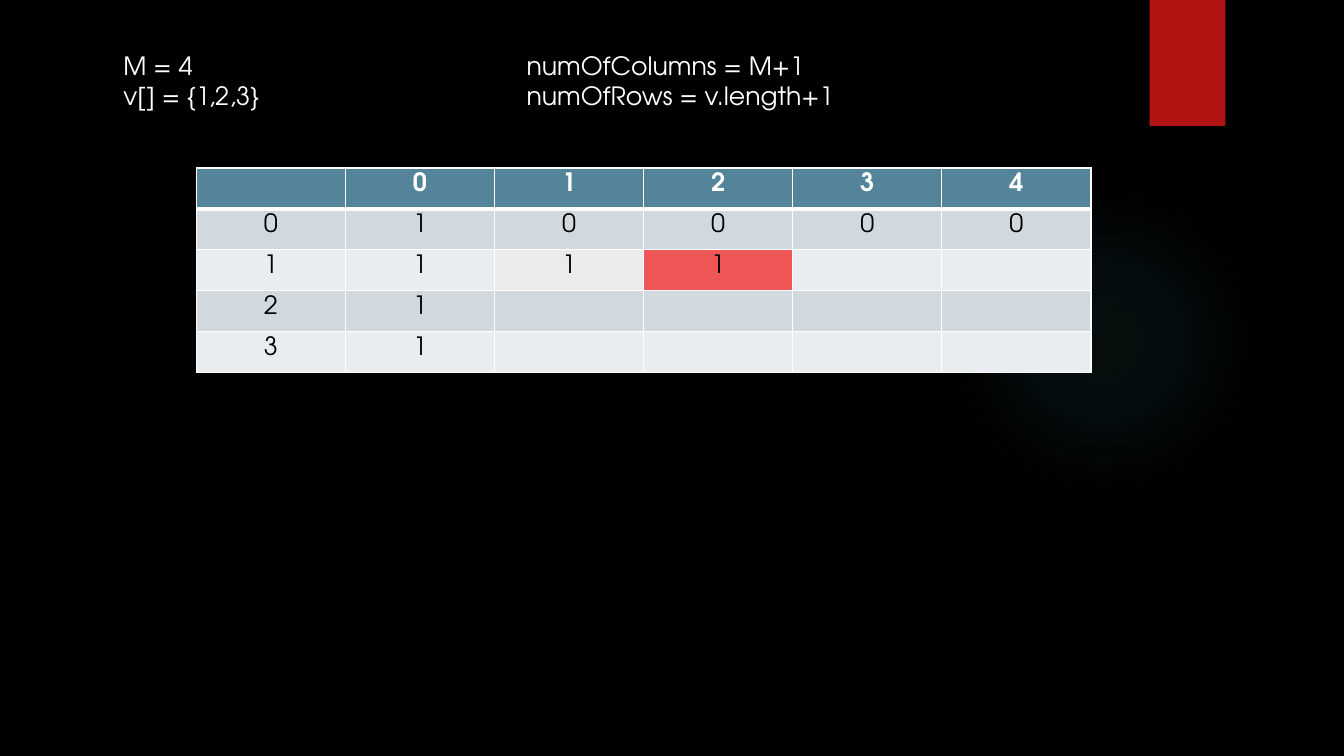
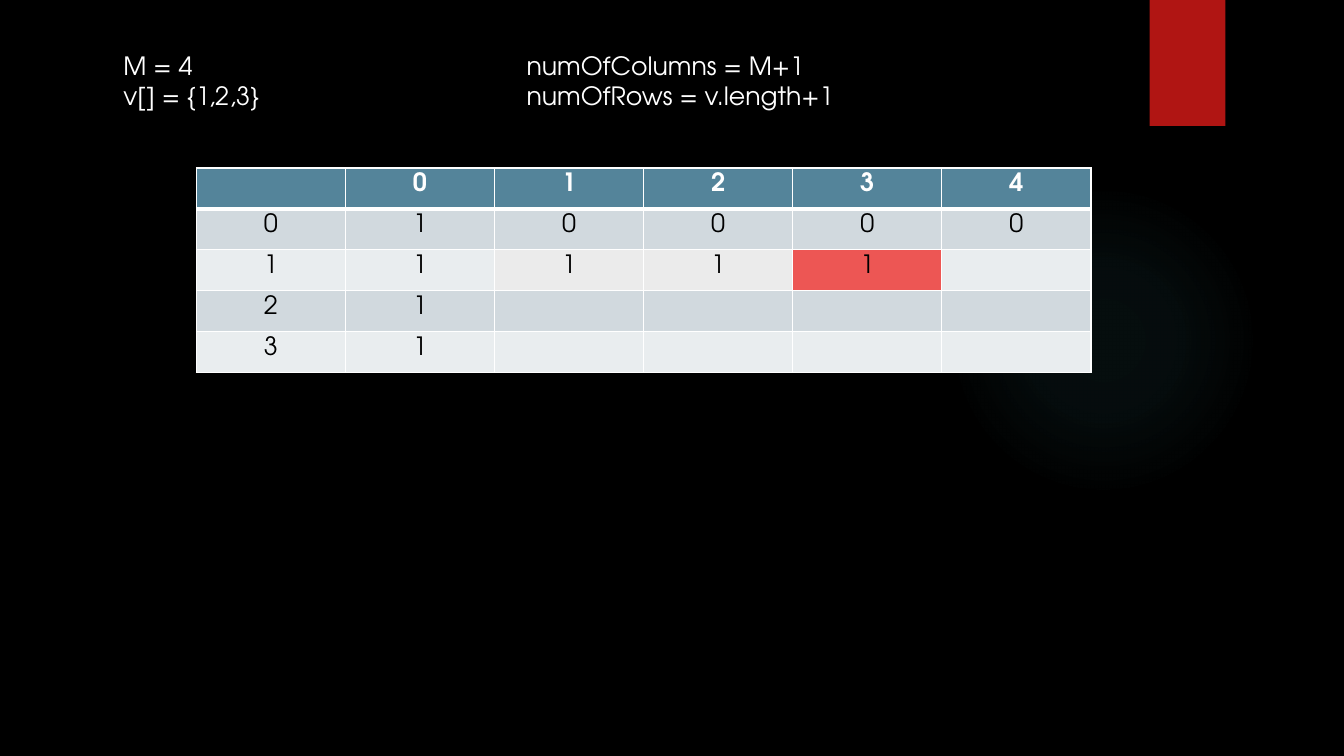
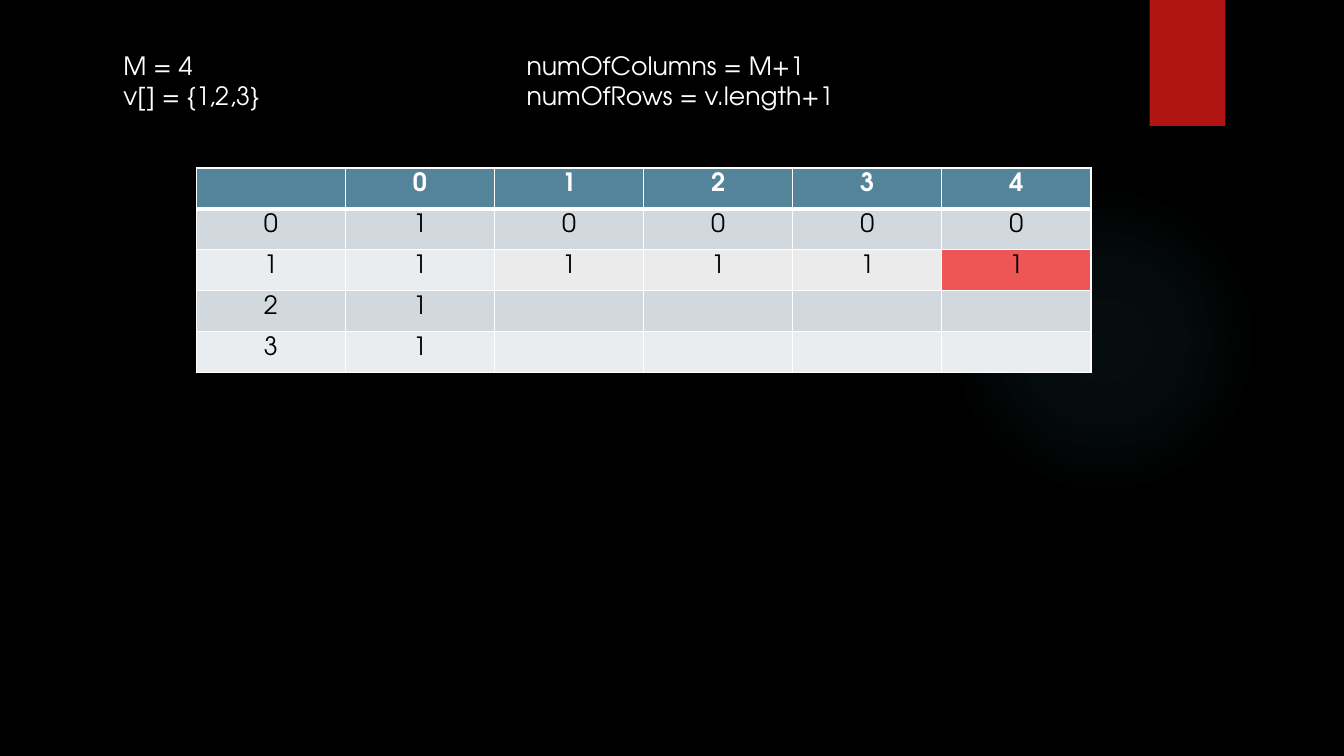
from dataclasses import dataclass

from pptx import Presentation
from pptx.dml.color import RGBColor
from pptx.enum.shapes import MSO_SHAPE
from pptx.enum.text import MSO_AUTO_SIZE, PP_ALIGN
from pptx.oxml import parse_xml
from pptx.oxml.ns import nsdecls, qn
from pptx.util import Pt

EMU_PER_PX = 9525
EMU_PER_POINT = 12700
BLANK_LAYOUT = 6
ELLIPSE = MSO_SHAPE.OVAL
RECTANGLE = MSO_SHAPE.RECTANGLE
LEFT = PP_ALIGN.LEFT
CENTER = PP_ALIGN.CENTER
GROW = MSO_AUTO_SIZE.SHAPE_TO_FIT_TEXT


@dataclass(frozen=True)
class Theme:
    font: str = "TeX Gyre Adventor"
    text_size: int = 18
    background: str = "000000"
    light_text: str = "FFFFFF"
    dark_text: str = "000000"
    ribbon: str = "B01513"
    glow: str = "50B9C1"
    glow_stops: tuple = ((0, 7), (36, 6), (69, 0))
    header: str = "54849A"
    bands: tuple = ("D1D9DE", "E9EDEF")
    visited: str = "EBEBEB"
    current: str = "ED5654"
    border: str = "FFFFFF"
    thin: int = 1
    thick: int = 3


THEME = Theme()
INPUT_LINES = (
    "M = 4\tnumOfColumns = M+1",
    "v[] = {1,2,3}\tnumOfRows = v.length+1",
)
COLUMN_COUNT = 5
ROW_COUNT = 4
ACTIVE_ROW = 1
CURRENT_COLUMNS = (2, 3, 4)


def px(length):
    return length * EMU_PER_PX


def write_text(paragraph, text, *, color, bold=False, align=LEFT):
    paragraph.alignment = align
    run = paragraph.add_run()
    run.text = text
    run.font.name = THEME.font
    run.font.size = Pt(THEME.text_size)
    run.font.bold = bold
    run.font.color.rgb = RGBColor.from_string(color)


def add_border(cell, side, points):
    """Draw one side (L, R, T or B); call before the cell is filled."""
    cell._tc.get_or_add_tcPr().append(parse_xml(
        f'<a:ln{side} {nsdecls("a")} w="{points * EMU_PER_POINT}">'
        f'<a:solidFill><a:srgbClr val="{THEME.border}"/></a:solidFill>'
        f'</a:ln{side}>'))


class Deck:
    def __init__(self, theme):
        self.theme = theme
        self.presentation = Presentation()
        self.presentation.slide_width = px(1280)
        self.presentation.slide_height = px(720)
        fill = self.presentation.slide_master.background.fill
        fill.solid()
        fill.fore_color.rgb = RGBColor.from_string(theme.background)
        self.slide = None

    def new_slide(self):
        layout = self.presentation.slide_layouts[BLANK_LAYOUT]
        self.slide = self.presentation.slides.add_slide(layout)
        self.glow(903, 176, 296)
        self.ribbon(1095, 0, 72, 120)

    def plain_shape(self, kind, left, top, width, height):
        shape = self.slide.shapes.add_shape(
            kind, px(left), px(top), px(width), px(height))
        shape.shadow.inherit = False
        shape.line.fill.background()
        return shape

    def ribbon(self, left, top, width, height):
        shape = self.plain_shape(RECTANGLE, left, top, width, height)
        shape.fill.solid()
        shape.fill.fore_color.rgb = RGBColor.from_string(self.theme.ribbon)

    def glow(self, left, top, diameter):
        """Add a circle that fades out from its centre."""
        shape = self.plain_shape(ELLIPSE, left, top, diameter, diameter)
        shape.fill.background()
        stops = "".join(
            f'<a:gs pos="{position * 1000}"><a:srgbClr val="{self.theme.glow}">'
            f'<a:alpha val="{opacity * 1000}"/></a:srgbClr></a:gs>'
            for position, opacity in self.theme.glow_stops)
        gradient = parse_xml(
            f'<a:gradFill {nsdecls("a")} rotWithShape="1"><a:gsLst>{stops}</a:gsLst>'
            '<a:path path="circle"><a:fillToRect l="50000" t="50000" '
            'r="50000" b="50000"/></a:path></a:gradFill>')
        properties = shape._element.spPr
        properties.replace(properties.find(qn("a:noFill")), gradient)

    def text_columns(self, lines, left, top, width, height, tab):
        """Write lines whose second part starts at the tab position."""
        box = self.slide.shapes.add_textbox(
            px(left), px(top), px(width), px(height))
        frame = box.text_frame
        frame.word_wrap = False
        frame.auto_size = GROW
        for index, line in enumerate(lines):
            paragraph = frame.add_paragraph() if index else frame.paragraphs[0]
            write_text(paragraph, line, color=self.theme.light_text)
            paragraph._p.get_or_add_pPr().append(parse_xml(
                f'<a:tabLst {nsdecls("a")}>'
                f'<a:tab pos="{px(tab)}" algn="l"/></a:tabLst>'))

    def table(self, values, fills, left, top, column_width, row_height):
        row_count, column_count = len(values), len(values[0])
        table = self.slide.shapes.add_table(
            row_count, column_count, px(left), px(top),
            px(column_width * column_count), px(row_height * row_count)).table
        for column in table.columns:
            column.width = px(column_width)
        for row_index, row in enumerate(table.rows):
            row.height = px(row_height)
            for column_index, cell in enumerate(row.cells):
                self.cell(cell, values[row_index][column_index],
                          fills[row_index][column_index], row_index)

    def cell(self, cell, text, fill, row_index):
        theme = self.theme
        is_header = row_index == 0
        top = theme.thick if row_index == 1 else theme.thin
        bottom = theme.thick if is_header else theme.thin
        for side, points in zip("LRTB", (theme.thin, theme.thin, top, bottom)):
            add_border(cell, side, points)
        cell.fill.solid()
        cell.fill.fore_color.rgb = RGBColor.from_string(fill)
        if text:
            write_text(cell.text_frame.paragraphs[0], text, bold=is_header,
                       align=CENTER,
                       color=theme.light_text if is_header else theme.dark_text)


def table_values(current):
    """Return the header and the rows solved up to the current column."""
    values = [[""] + [str(column) for column in range(COLUMN_COUNT)]]
    for row in range(ROW_COUNT):
        solved = ["1"] + [""] * (COLUMN_COUNT - 1)
        if row == 0:
            solved[1:] = ["0"] * (COLUMN_COUNT - 1)
        elif row == ACTIVE_ROW:
            solved[1:current + 1] = ["1"] * current
        values.append([str(row)] + solved)
    return values


def table_fills(current):
    width = COLUMN_COUNT + 1
    fills = [[THEME.header] * width]
    fills += [[THEME.bands[row % 2]] * width for row in range(ROW_COUNT)]
    active = fills[ACTIVE_ROW + 1]
    active[2:current + 1] = [THEME.visited] * (current - 1)
    active[current + 1] = THEME.current
    return fills


def main():
    deck = Deck(THEME)
    for current in CURRENT_COLUMNS:
        deck.new_slide()
        deck.text_columns(INPUT_LINES, 108, 43, 700, 68, tab=384)
        deck.table(table_values(current), table_fills(current),
                   187, 160, column_width=142, row_height=39)
    deck.presentation.save("out.pptx")


if __name__ == "__main__":
    main()
